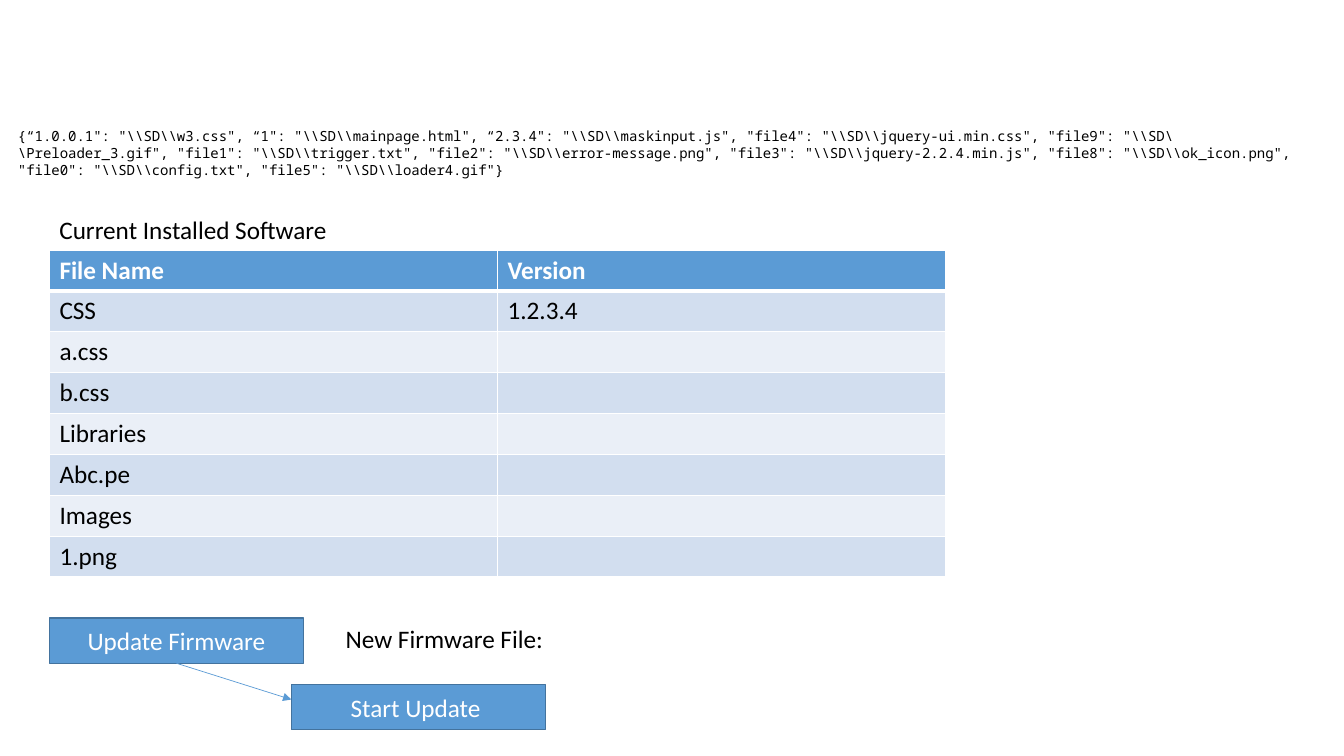
import pptx
import pptx.dml.color
import pptx.enum.shapes
import pptx.enum.text
import pptx.oxml
import pptx.oxml.ns
import pptx.util
from lxml import etree

RGBColor = pptx.dml.color.RGBColor
Inches = pptx.util.Inches
Pt = pptx.util.Pt
ALIGN = pptx.enum.text.PP_ALIGN
ANCHOR = pptx.enum.text.MSO_ANCHOR

WHITE = RGBColor(0xFF, 0xFF, 0xFF)
BLACK = RGBColor(0x00, 0x00, 0x00)
BLUE = RGBColor(0x5B, 0x9B, 0xD5)
EDGE = RGBColor(0x43, 0x73, 0x9E)
BANDS = (RGBColor(0xD2, 0xDE, 0xEF), RGBColor(0xEA, 0xEF, 0xF7))

PAGE_WIDTH, PAGE_HEIGHT = 13.33, 7.5
MARGIN = 0.49
BUTTON_WIDTH, BUTTON_HEIGHT = 2.52, 0.45
ROW_HEIGHT = 0.405
SOFTWARE = (
    ("File Name", "Version"),
    ("CSS", "1.2.3.4"),
    ("a.css", ""),
    ("b.css", ""),
    ("Libraries", ""),
    ("Abc.pe", ""),
    ("Images", ""),
    ("1.png", ""),
)
MANIFEST = (
    r'{“1.0.0.1": "\\SD\\w3.css", “1": "\\SD\\mainpage.html", '
    r'“2.3.4": "\\SD\\maskinput.js", "file4": "\\SD\\jquery-ui.min.css", '
    r'"file9": "\\SD\\Preloader_3.gif", "file1": "\\SD\\trigger.txt", '
    r'"file2": "\\SD\\error-message.png", "file3": "\\SD\\jquery-2.2.4.min.js", '
    r'"file8": "\\SD\\ok_icon.png", "file0": "\\SD\\config.txt", '
    r'"file5": "\\SD\\loader4.gif"}'
)


def add_span(frame, text, color=BLACK, size=18, font="Calibri", bold=False):
    """Write one styled run into the first paragraph and return the paragraph."""
    para = frame.paragraphs[0]
    span = para.add_run()
    span.text = text
    span.font.name = font
    span.font.size = Pt(size)
    span.font.bold = bold
    span.font.color.rgb = color
    return para


def add_label(page, box, text):
    """Place a one-line label."""
    frame = page.shapes.add_textbox(*map(Inches, box)).text_frame
    frame.word_wrap = False
    add_span(frame, text)


def add_manifest(page, box):
    """Place the wrapped file listing, centred vertically on its box."""
    frame = page.shapes.add_textbox(*map(Inches, box)).text_frame
    frame.word_wrap = True
    frame.vertical_anchor = ANCHOR.MIDDLE
    frame.margin_top = frame.margin_bottom = 0
    add_span(frame, MANIFEST, size=10, font="Noto Sans Mono")


def set_borders(cell, widths):
    """Give a cell white borders, with widths in points by side."""
    properties = cell._tc.get_or_add_tcPr()
    for index, (side, width) in enumerate(widths.items()):
        border = pptx.oxml.parse_xml(
            f'<a:ln{side} {pptx.oxml.ns.nsdecls("a")} w="{Pt(width)}">'
            f'<a:solidFill><a:srgbClr val="{WHITE}"/></a:solidFill></a:ln{side}>'
        )
        properties.insert(index, border)


def add_software_table(page, box):
    """Draw the banded table of installed files."""
    rows, columns = len(SOFTWARE), len(SOFTWARE[0])
    table = page.shapes.add_table(rows, columns, *map(Inches, box)).table
    for row, entries in enumerate(SOFTWARE):
        header = row == 0
        for column, text in enumerate(entries):
            cell = table.cell(row, column)
            cell.fill.solid()
            cell.fill.fore_color.rgb = BLUE if header else BANDS[(row - 1) % 2]
            set_borders(cell, {"L": 1, "R": 1, "T": 3 if row == 1 else 1, "B": 3 if header else 1})
            if text:
                add_span(cell.text_frame, text, WHITE if header else BLACK, bold=header)


def add_button(page, left, top, text):
    """Draw one blue button with centred text."""
    button = page.shapes.add_shape(
        pptx.enum.shapes.MSO_SHAPE.RECTANGLE,
        *map(Inches, (left, top, BUTTON_WIDTH, BUTTON_HEIGHT)),
    )
    button.shadow.inherit = False
    button.fill.solid()
    button.fill.fore_color.rgb = BLUE
    button.line.color.rgb = EDGE
    button.line.width = Pt(1)
    button.text_frame.vertical_anchor = ANCHOR.MIDDLE
    add_span(button.text_frame, text, WHITE).alignment = ALIGN.CENTER


def add_arrow(page, start, end):
    """Draw a thin blue arrow."""
    arrow = page.shapes.add_connector(
        pptx.enum.shapes.MSO_CONNECTOR.STRAIGHT, *map(Inches, start + end)
    )
    arrow.line.color.rgb = BLUE
    arrow.line.width = Pt(0.5)
    qn = pptx.oxml.ns.qn
    etree.SubElement(arrow.line._get_or_add_ln(), qn("a:tailEnd"), type="triangle")
    etree.SubElement(arrow._element.spPr, qn("a:effectLst"))


def add_update_controls(page, left, top):
    """Place the two update buttons, the arrow between them and the file label."""
    start_left, start_top = left + 2.4, top + 0.66
    add_button(page, left, top, "Update Firmware")
    add_label(page, (left + 2.84, top, 2.24, 0.4), "New Firmware File:")
    add_arrow(
        page,
        (left + BUTTON_WIDTH / 2, top + BUTTON_HEIGHT),
        (start_left, start_top + BUTTON_HEIGHT / 3),
    )
    add_button(page, start_left, start_top, "Start Update ")


def main():
    """Build and save the firmware update slide."""
    deck = pptx.Presentation()
    deck.slide_width, deck.slide_height = Inches(PAGE_WIDTH), Inches(PAGE_HEIGHT)
    page = deck.slides.add_slide(deck.slide_layouts[6])
    add_software_table(page, (MARGIN, 2.48, PAGE_WIDTH * 2 / 3, ROW_HEIGHT * len(SOFTWARE)))
    add_manifest(page, (0.08, 1.3, 13.06, 0.44))
    add_label(page, (MARGIN, 2.08, 2.95, 0.4), "Current Installed Software")
    add_update_controls(page, MARGIN, 6.13)
    deck.save("out.pptx")


if __name__ == "__main__":
    main()
